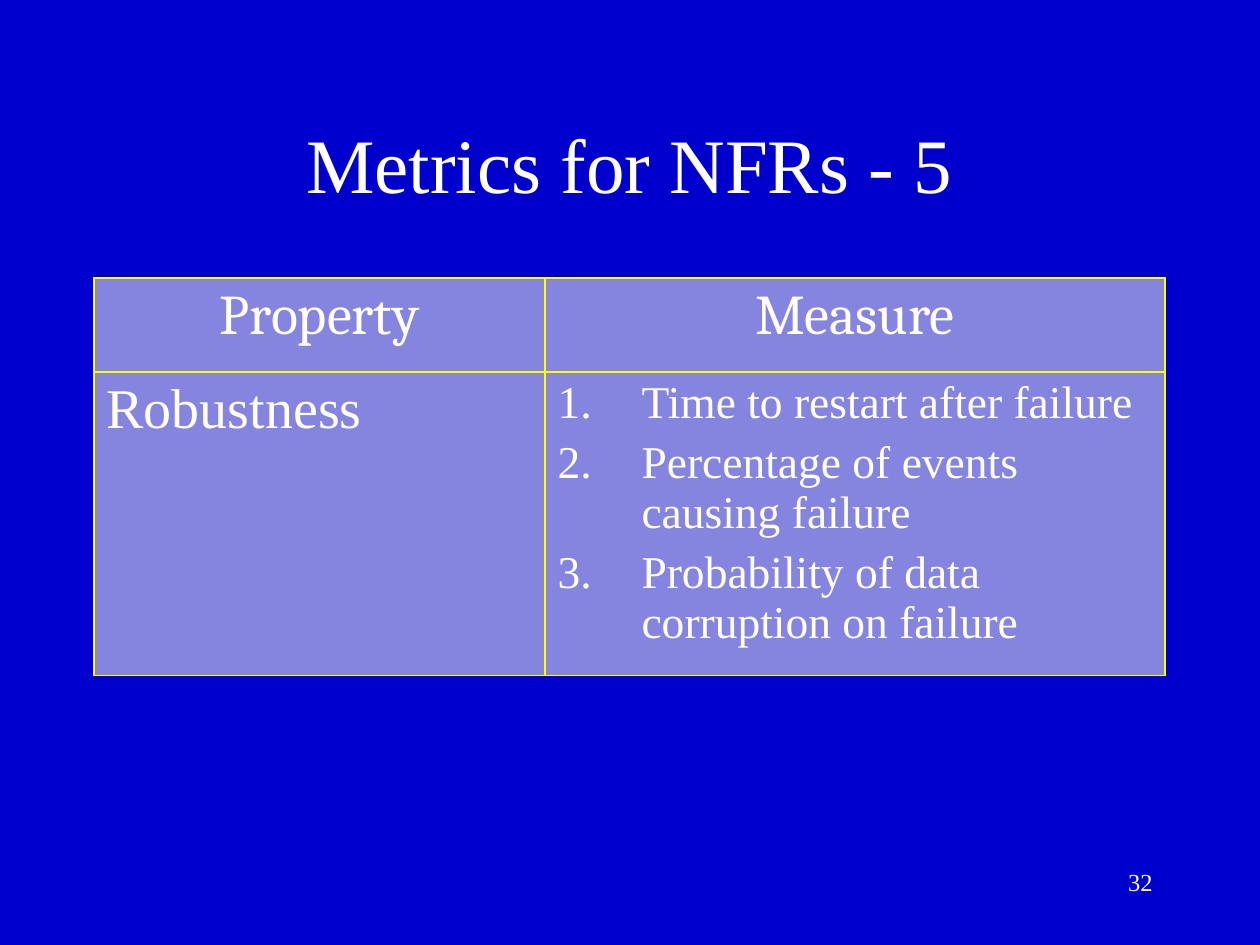
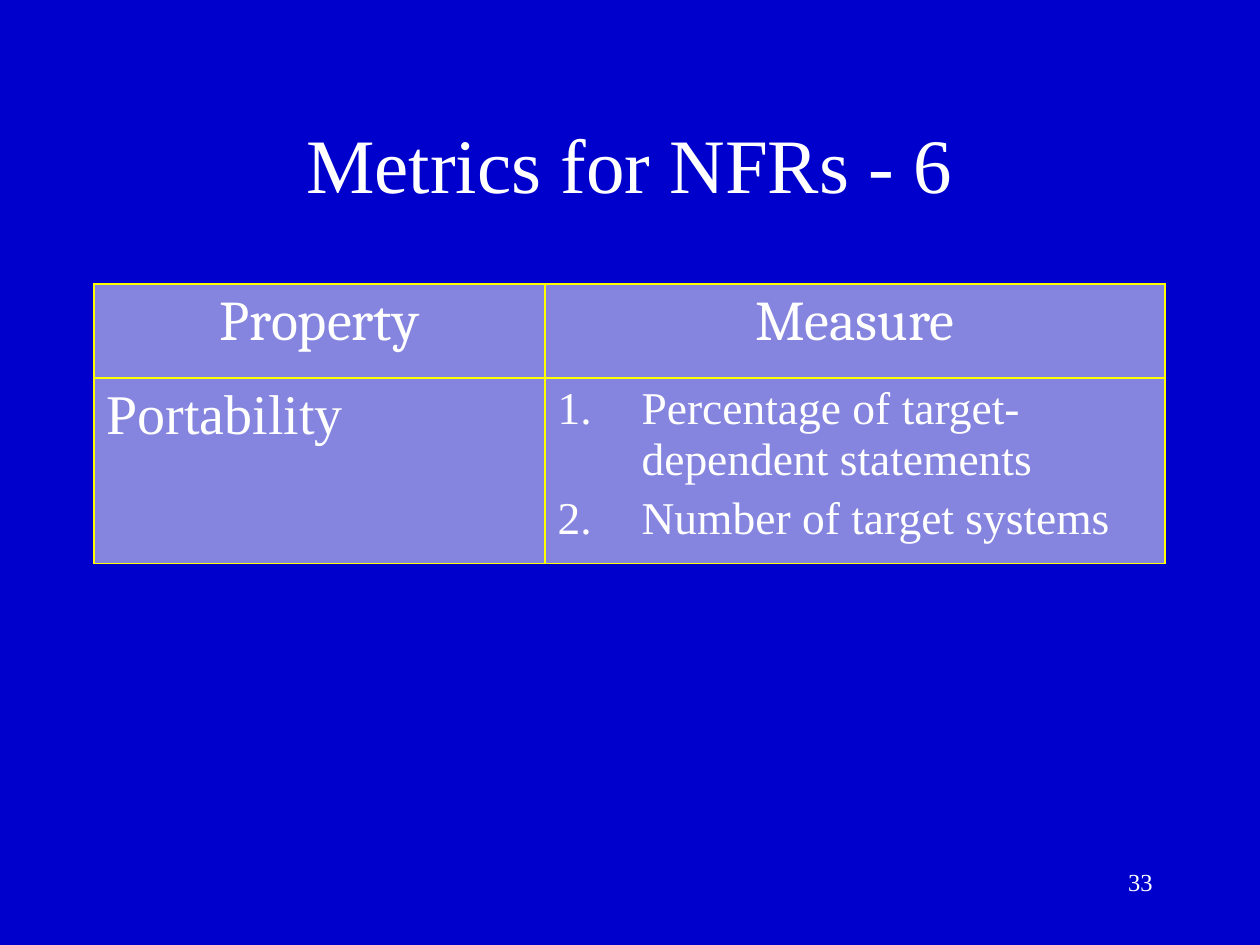
from lxml import etree
from pptx import Presentation
from pptx.dml.color import RGBColor
from pptx.enum.text import MSO_ANCHOR, PP_ALIGN
from pptx.oxml.ns import qn
from pptx.util import Emu, Pt

LEFT, CENTER, RIGHT = PP_ALIGN.LEFT, PP_ALIGN.CENTER, PP_ALIGN.RIGHT
TOP, MIDDLE = MSO_ANCHOR.TOP, MSO_ANCHOR.MIDDLE
SCALE = 914400 / 126

COLORS = {
    "background": "0000CC",
    "cell": "8585E0",
    "border": "FFFF00",
    "text": "FFFFFF",
}
BODY_FONT = "Times New Roman"
HEADER_FONT = "Cambria"
TITLE_BOX = (94, 84, 1071, 158)
NUMBER_BOX = (903, 861, 262, 63)
COLUMN_WIDTHS = (451, 620)
ROW_HEIGHT = 94
LIST_INDENT = 84
HEADERS = ("Property", "Measure")

SLIDES = [
    {
        "title": "Metrics for NFRs - 5",
        "number": "32",
        "box": (94, 278, 1071, 402),
        "property": "Robustness",
        "measures": [
            "Time to restart after failure",
            "Percentage of events causing failure",
            "Probability of data corruption on failure",
        ],
    },
    {
        "title": "Metrics for NFRs - 6",
        "number": "33",
        "box": (94, 284, 1071, 282),
        "property": "Portability",
        "measures": [
            "Percentage of target-dependent statements",
            "Number of target systems",
        ],
    },
]


def px(length):
    return Emu(round(length * SCALE))


def color(name):
    return RGBColor.from_string(COLORS[name])


def add_run(paragraph, text, size, font=BODY_FONT, alignment=LEFT):
    paragraph.alignment = alignment
    run = paragraph.add_run()
    run.text = text
    run.font.size = Pt(size)
    run.font.name = font
    run.font.color.rgb = color("text")


def add_text(slide, box, text, size, alignment, anchor=TOP):
    shape = slide.shapes.add_textbox(*map(px, box))
    frame = shape.text_frame
    frame.word_wrap = True
    frame.vertical_anchor = anchor
    add_run(frame.paragraphs[0], text, size, alignment=alignment)


def format_paragraph(paragraph, numbered):
    properties = paragraph._p.get_or_add_pPr()
    spacing = etree.SubElement(properties, qn("a:spcBef"))
    etree.SubElement(spacing, qn("a:spcPct"), val="20000")
    if numbered:
        indent = px(LIST_INDENT)
        properties.set("marL", str(indent))
        properties.set("indent", str(-indent))
        etree.SubElement(properties, qn("a:buAutoNum"), type="arabicPeriod")


def add_borders(cell):
    properties = cell._tc.get_or_add_tcPr()
    for position, side in enumerate(("lnL", "lnR", "lnT", "lnB")):
        line = etree.Element(qn(f"a:{side}"), w=str(Pt(1)))
        fill = etree.SubElement(line, qn("a:solidFill"))
        etree.SubElement(fill, qn("a:srgbClr"), val=COLORS["border"])
        properties.insert(position, line)


def fill_cell(cell, texts, size, font=BODY_FONT, alignment=LEFT, numbered=False):
    cell.fill.solid()
    cell.fill.fore_color.rgb = color("cell")
    add_borders(cell)
    frame = cell.text_frame
    for index, text in enumerate(texts):
        paragraph = frame.add_paragraph() if index else frame.paragraphs[0]
        add_run(paragraph, text, size, font, alignment)
        format_paragraph(paragraph, numbered)


def add_metrics_table(slide, box, property_name, measures):
    shape = slide.shapes.add_table(2, len(HEADERS), *map(px, box))
    table = shape.table
    for column, width in zip(table.columns, COLUMN_WIDTHS):
        column.width = px(width)
    for row in table.rows:
        row.height = px(ROW_HEIGHT)
    shape.height = px(box[3])
    for index, header in enumerate(HEADERS):
        fill_cell(table.cell(0, index), [header], 32, HEADER_FONT, CENTER)
    fill_cell(table.cell(1, 0), [property_name], 32)
    fill_cell(table.cell(1, 1), measures, 26, numbered=True)


def add_metrics_slide(presentation, content):
    slide = presentation.slides.add_slide(presentation.slide_layouts[6])
    background = slide.background.fill
    background.solid()
    background.fore_color.rgb = color("background")
    add_text(slide, NUMBER_BOX, content["number"], 14, RIGHT)
    add_text(slide, TITLE_BOX, content["title"], 44, CENTER, MIDDLE)
    add_metrics_table(slide, content["box"], content["property"], content["measures"])


presentation = Presentation()
presentation.slide_width = px(1260)
presentation.slide_height = px(945)
for content in SLIDES:
    add_metrics_slide(presentation, content)
presentation.save("out.pptx")
